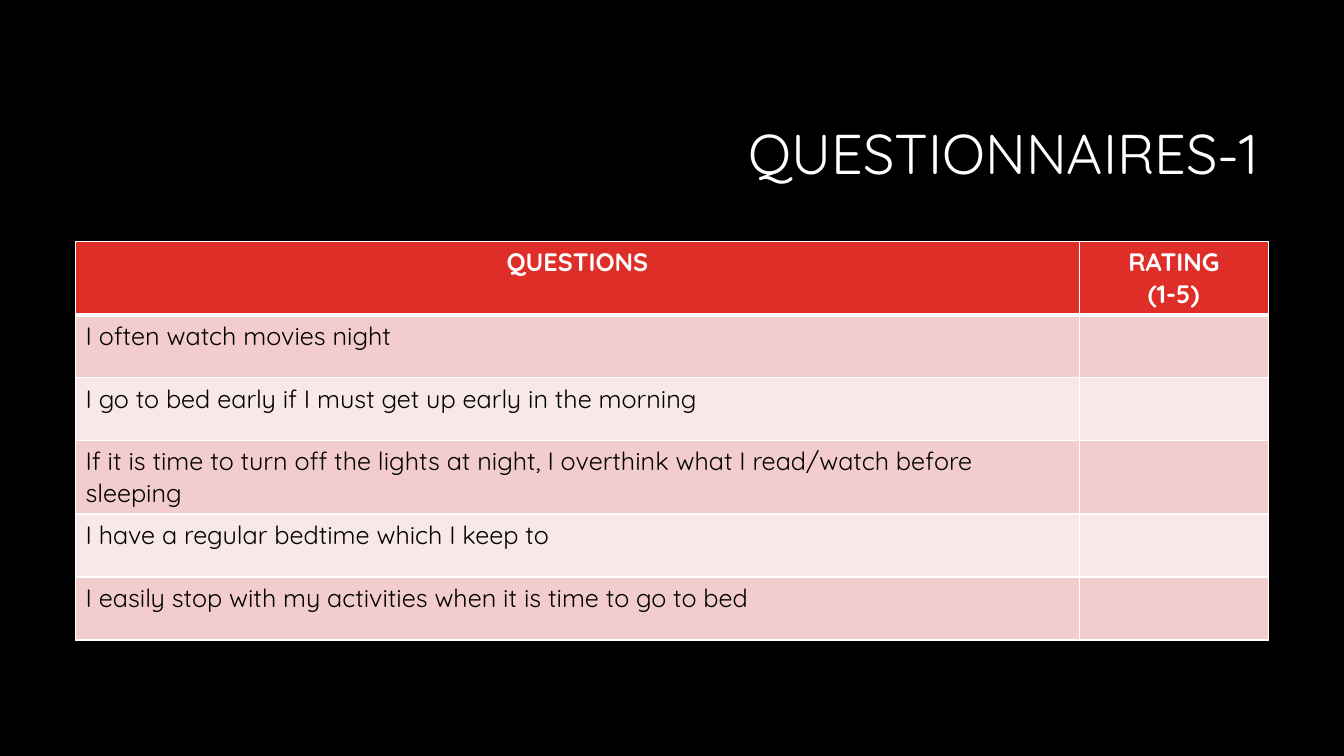
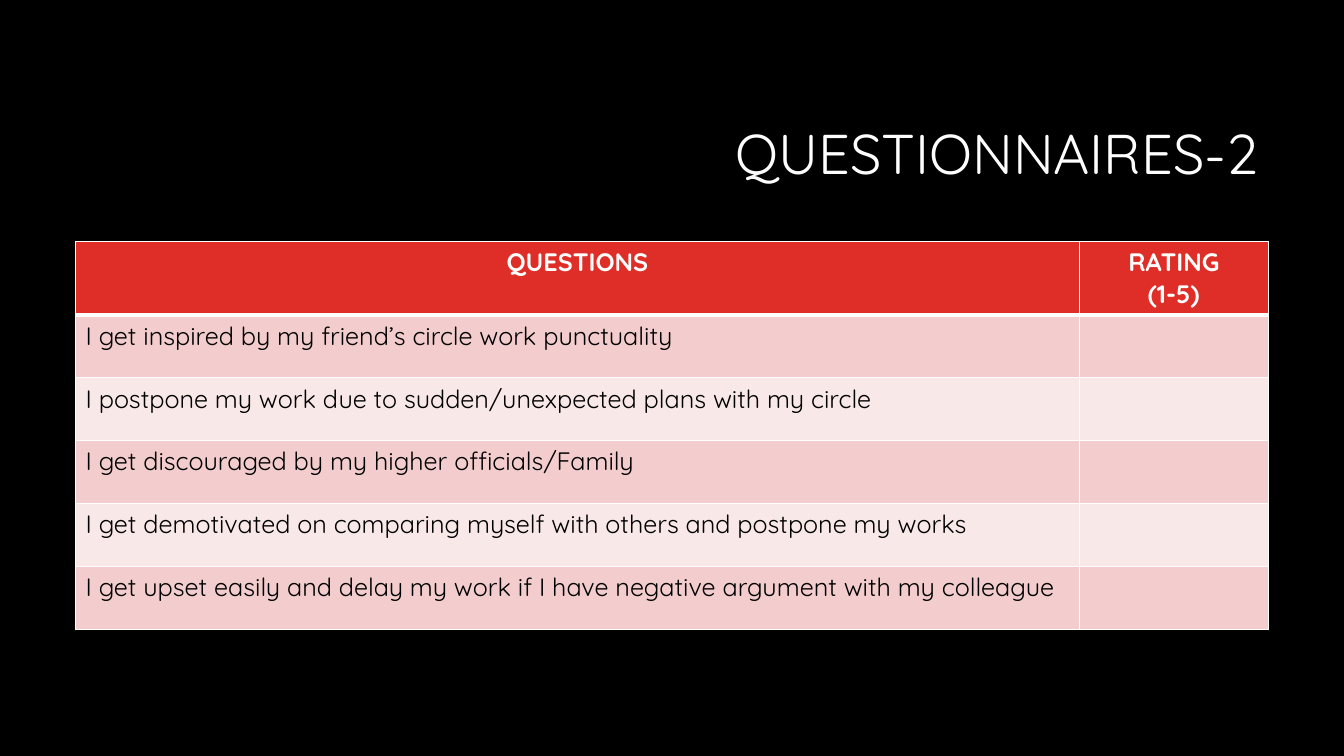
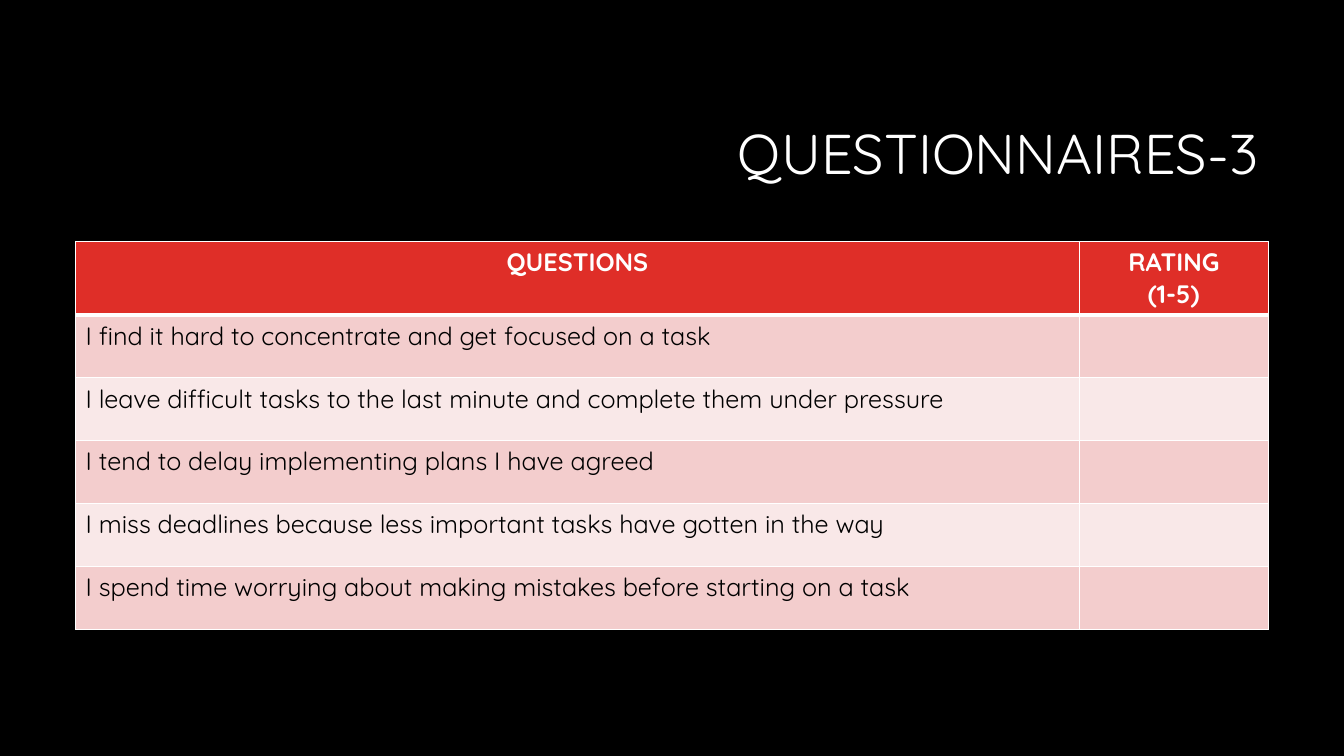
import pptx
import pptx.dml.color
import pptx.enum.text
import pptx.oxml
import pptx.oxml.ns
import pptx.util

PX = 9525  # EMU per px, 96 px to the inch
FONT = "Quicksand"
COLORS = {
    "black": "000000",
    "white": "FFFFFF",
    "header": "DF2E28",
    "band_dark": "F3CDCD",
    "band_light": "F9E8E8",
}
ALIGN = pptx.enum.text.PP_ALIGN
ANCHOR = pptx.enum.text.MSO_ANCHOR

HEADERS = ("QUESTIONS", "RATING\n(1-5)")
QUESTIONNAIRES = [
    ("QUESTIONNAIRES-1", [
        "I often watch movies night",
        "I go to bed early if I must get up early in the morning",
        "If it is time to turn off the lights at night, I overthink what I read/watch before sleeping",
        "I have a regular bedtime which I keep to",
        "I easily stop with my activities when it is time to go to bed",
    ]),
    ("QUESTIONNAIRES-2", [
        "I get inspired by my friend’s circle work punctuality",
        "I postpone my work due to sudden/unexpected plans with my circle",
        "I get discouraged by my higher officials/Family",
        "I get demotivated on comparing myself with others and postpone my works",
        "I get upset easily and delay my work if I have negative argument with my colleague",
    ]),
    ("QUESTIONNAIRES-3", [
        "I find it hard to concentrate and get focused on a task",
        "I leave difficult tasks to the last minute and complete them under pressure",
        "I tend to delay implementing plans I have agreed",
        "I miss deadlines because less important tasks have gotten in the way",
        "I spend time worrying about making mistakes before starting on a task",
    ]),
]


def px(n):
    return pptx.util.Emu(n * PX)


def rgb(name):
    return pptx.dml.color.RGBColor.from_string(COLORS[name])


class Deck:
    """Holds the shared style and the current slide."""

    def __init__(self):
        self.prs = pptx.Presentation()
        self.prs.slide_width, self.prs.slide_height = px(1280), px(720)
        fill = self.prs.slide_master.background.fill
        fill.solid()
        fill.fore_color.rgb = rgb("black")
        self.slide = None

    def new_slide(self):
        self.slide = self.prs.slides.add_slide(self.prs.slide_layouts[5])

    def style(self, p, size, color, align, bold=False):
        p.alignment = align
        p.font.name, p.font.size, p.font.bold = FONT, pptx.util.Pt(size), bold
        p.font.color.rgb = rgb(color)

    def title(self, text):
        sp = self.slide.shapes.title
        sp.left, sp.top, sp.width, sp.height = px(304), px(81), px(904), px(135)
        tf = sp.text_frame
        tf.text = text
        tf.auto_size = pptx.enum.text.MSO_AUTO_SIZE.NONE
        tf.vertical_anchor = ANCHOR.MIDDLE
        p = tf.paragraphs[0]
        p.line_spacing = 0.9
        self.style(p, 40, "white", ALIGN.RIGHT)

    def borders(self, cell, top, bottom):
        # Border lines come before the fill in the cell properties
        tc_pr = cell._tc.get_or_add_tcPr()
        widths = (("L", 1), ("R", 1), ("T", top), ("B", bottom))
        for i, (side, width) in enumerate(widths):
            ln = pptx.oxml.parse_xml(
                f'<a:ln{side} {pptx.oxml.ns.nsdecls("a")} w="{pptx.util.Pt(width)}">'
                f'<a:solidFill><a:srgbClr val="{COLORS["white"]}"/></a:solidFill>'
                f'</a:ln{side}>')
            tc_pr.insert(i, ln)

    def cell(self, cell, text, row):
        header = row == 0
        cell.fill.solid()
        band = "band_dark" if row % 2 else "band_light"
        cell.fill.fore_color.rgb = rgb("header" if header else band)
        self.borders(cell, 3 if row == 1 else 1, 3 if header else 1)
        cell.text = text
        for p in cell.text_frame.paragraphs:
            self.style(p, 18, "white" if header else "black",
                       ALIGN.CENTER if header else ALIGN.LEFT, header)

    def table(self, rows, left, top, col_widths, row_height):
        frame = self.slide.shapes.add_table(
            len(rows), len(col_widths), px(left), px(top),
            px(sum(col_widths)), px(row_height * len(rows)))
        table = frame.table
        table.horz_banding = False
        for col, width in zip(table.columns, col_widths):
            col.width = px(width)
        for r, texts in enumerate(rows):
            for c, text in enumerate(texts):
                self.cell(table.cell(r, c), text, r)


def main():
    deck = Deck()
    # One slide per questionnaire, with blank rating cells
    for title, questions in QUESTIONNAIRES:
        deck.new_slide()
        deck.title(title)
        rows = [HEADERS] + [(question, "") for question in questions]
        deck.table(rows, 72, 230, (956, 180), 60)
    deck.prs.save("out.pptx")


if __name__ == "__main__":
    main()
